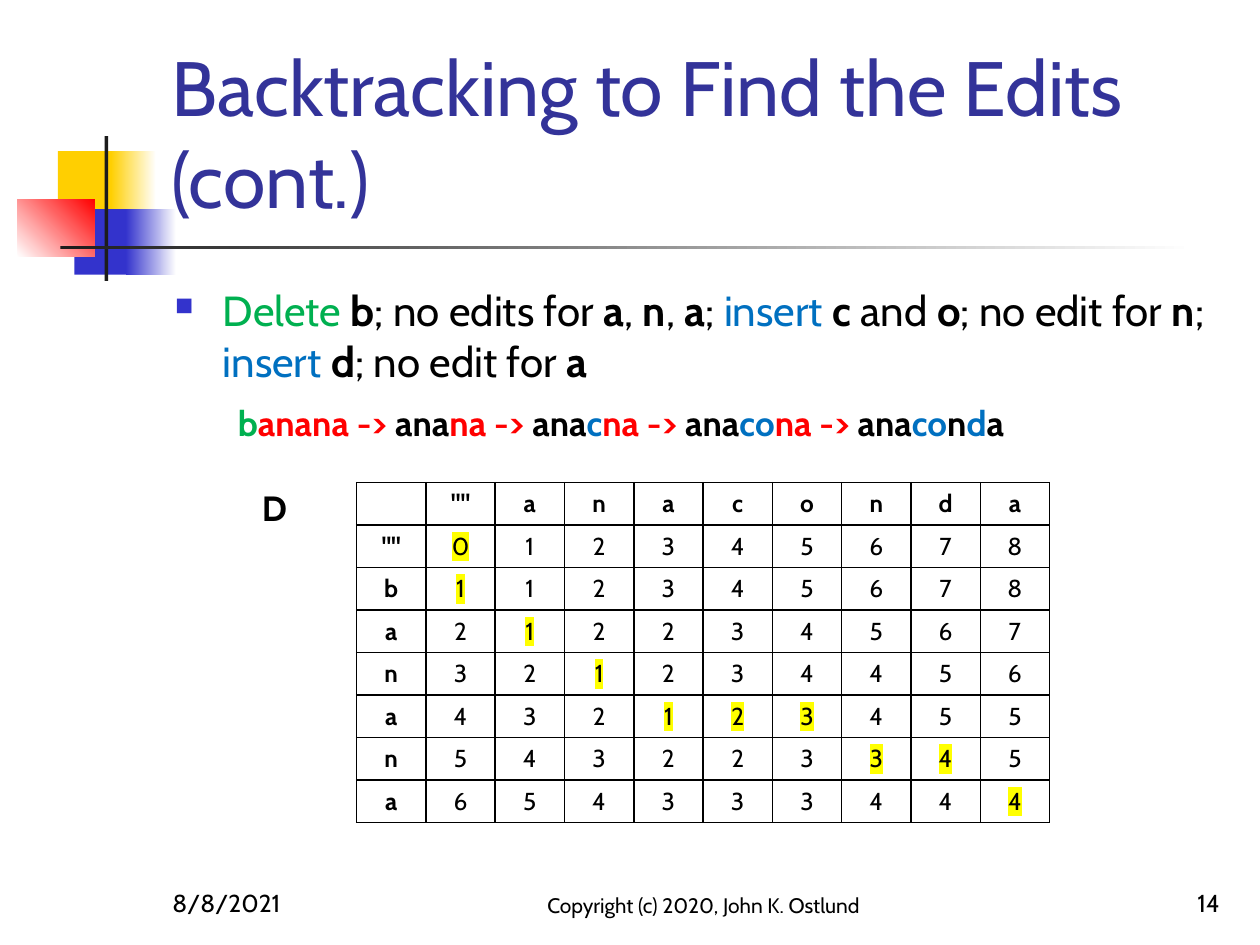
from lxml import etree
from pptx import Presentation
from pptx.dml.color import RGBColor
from pptx.enum.shapes import MSO_SHAPE
from pptx.enum.text import MSO_ANCHOR, PP_ALIGN
from pptx.oxml.ns import qn
from pptx.util import Inches, Pt

RECT = MSO_SHAPE.RECTANGLE
TOP, MIDDLE, BOTTOM = MSO_ANCHOR.TOP, MSO_ANCHOR.MIDDLE, MSO_ANCHOR.BOTTOM
LEFT, CENTER, RIGHT = PP_ALIGN.LEFT, PP_ALIGN.CENTER, PP_ALIGN.RIGHT
BLACK = RGBColor(0x00, 0x00, 0x00)
WHITE = RGBColor(0xFF, 0xFF, 0xFF)
GOLD = RGBColor(0xFF, 0xCF, 0x01)
BLUE = RGBColor(0x33, 0x33, 0xCC)
NAVY = RGBColor(0x33, 0x33, 0x99)
SKY = RGBColor(0x00, 0x70, 0xC0)
GREEN = RGBColor(0x00, 0xB0, 0x50)
RED = RGBColor(0xFF, 0x00, 0x00)
DARK = RGBColor(0x1C, 0x1C, 0x1C)
YELLOW = RGBColor(0xFF, 0xFF, 0x00)
FONT = "Cabin"

prs = Presentation()
prs.slide_width, prs.slide_height = Inches(10), Inches(7.5)
slide = prs.slides.add_slide(prs.slide_layouts[6])


def add_run(para, text, size, color=BLACK, bold=False):
    run = para.add_run()
    run.text = text
    font = run.font
    font.name, font.size, font.bold = FONT, Pt(size), bold
    font.color.rgb = color
    return run


def add_box(left, top, width, height, anchor=TOP):
    box = slide.shapes.add_textbox(Inches(left), Inches(top), Inches(width), Inches(height))
    frame = box.text_frame
    frame.word_wrap = True
    frame.vertical_anchor = anchor
    return frame


blocks = [
    (0.46, 1.2, 0.48, 0.52, GOLD, None, 0),
    (0.88, 1.2, 0.36, 0.52, GOLD, WHITE, 0),
    (0.59, 1.66, 0.46, 0.52, BLUE, None, 0),
    (1, 1.66, 0.4, 0.52, BLUE, WHITE, 0),
    (0.14, 1.58, 0.61, 0.46, WHITE, RED, 45),
    (0.83, 1.08, 0.03, 1.15, DARK, None, 0),
    (0.48, 1.95, 9, 0.03, DARK, WHITE, 0),
]
for left, top, width, height, start, end, angle in blocks:
    block = slide.shapes.add_shape(RECT, Inches(left), Inches(top), Inches(width), Inches(height))
    block.shadow.inherit = False
    block.line.fill.background()
    if end is None:
        block.fill.solid()
        block.fill.fore_color.rgb = start
    else:
        block.fill.gradient()
        block.fill.gradient_angle = angle
        for stop, color in zip(block.fill.gradient_stops, (start, end)):
            stop.color.rgb = color

labels = [
    (1.26, 0.23, 8.52, 1.6, "Backtracking to Find the Edits (cont.)", 44, NAVY, LEFT),
    (1.27, 6.83, 2.08, 0.5, "8/8/2021", 14, BLACK, LEFT),
    (4, 6.83, 3.17, 0.5, "Copyright (c) 2020, John K. Ostlund", 12, BLACK, CENTER),
    (7.7, 6.83, 2.08, 0.5, "14", 14, BLACK, RIGHT),
]
for left, top, width, height, text, size, color, align in labels:
    para = add_box(left, top, width, height, BOTTOM).paragraphs[0]
    para.alignment = align
    add_run(para, text, size, color)

body = add_box(1.29, 2.21, 8.5, 1.5)
bullet = body.paragraphs[0]
props = bullet._p.get_or_add_pPr()
props.set("marL", str(Inches(0.38)))
props.set("indent", str(-Inches(0.38)))
tint = etree.SubElement(props, qn("a:buClr"))
etree.SubElement(tint, qn("a:srgbClr"), val=str(BLUE))
etree.SubElement(props, qn("a:buSzPct"), val="60000")
etree.SubElement(props, qn("a:buChar"), char="■")
summary = [
    ("Delete ", GREEN), ("b", True), ("; no edits for ", BLACK), ("a", True), (", ", BLACK),
    ("n", True), (", ", BLACK), ("a", True), ("; ", BLACK), ("insert ", SKY), ("c", True),
    (" and ", BLACK), ("o", True), ("; no edit for ", BLACK), ("n", True), ("; ", BLACK),
    ("insert ", SKY), ("d", True), ("; no edit for ", BLACK), ("a", True),
]
for text, style in summary:
    if style is True:
        add_run(bullet, text, 24, BLACK, True)
    else:
        add_run(bullet, text, 24, style)

steps = body.add_paragraph()
steps.space_before = Pt(9)
steps._p.get_or_add_pPr().set("marL", str(Inches(0.5)))
edits = [
    ("b", GREEN), ("anana -> ", RED), ("ana", BLACK), ("na -> ", RED), ("ana", BLACK),
    ("c", SKY), ("na -> ", RED), ("ana", BLACK), ("co", SKY), ("na -> ", RED),
    ("ana", BLACK), ("co", SKY), ("n", BLACK), ("d", SKY), ("a", BLACK),
]
for text, color in edits:
    add_run(steps, text, 20, color, True)

add_run(add_box(1.98, 3.81, 0.5, 0.44).paragraphs[0], "D", 20, BLACK, True)

source = ['""', *"banana"]
target = ['""', *"anaconda"]
costs = ["012345678", "112345678", "212234567", "321234456",
         "432123455", "543223345", "654333444"]
trail = {(0, 0), (1, 0), (2, 1), (3, 2), (4, 3), (4, 4), (4, 5), (5, 6), (5, 7), (6, 8)}
rows = [["", *target]] + [[name, *line] for name, line in zip(source, costs)]
frame = slide.shapes.add_table(len(rows), len(rows[0]), Inches(2.83), Inches(3.83),
                               Inches(5.5), Inches(2.7))
table = frame.table
table.first_row = table.horz_banding = False
for i, row in enumerate(rows):
    for j, text in enumerate(row):
        cell = table.cell(i, j)
        cell.margin_top = cell.margin_bottom = 0
        cell.vertical_anchor = MIDDLE
        props = cell._tc.get_or_add_tcPr()
        for side in ("L", "R", "T", "B"):
            edge = etree.SubElement(props, qn("a:ln" + side), w=str(Pt(1)))
            paint = etree.SubElement(edge, qn("a:solidFill"))
            etree.SubElement(paint, qn("a:srgbClr"), val=str(BLACK))
        cell.fill.background()
        if not text:
            continue
        para = cell.text_frame.paragraphs[0]
        para.alignment = CENTER
        run = add_run(para, text, 14, BLACK, i == 0 or j == 0)
        if (i - 1, j - 1) in trail:
            mark = etree.Element(qn("a:highlight"))
            etree.SubElement(mark, qn("a:srgbClr"), val=str(YELLOW))
            run._r.get_or_add_rPr().find(qn("a:solidFill")).addnext(mark)

prs.save("out.pptx")
